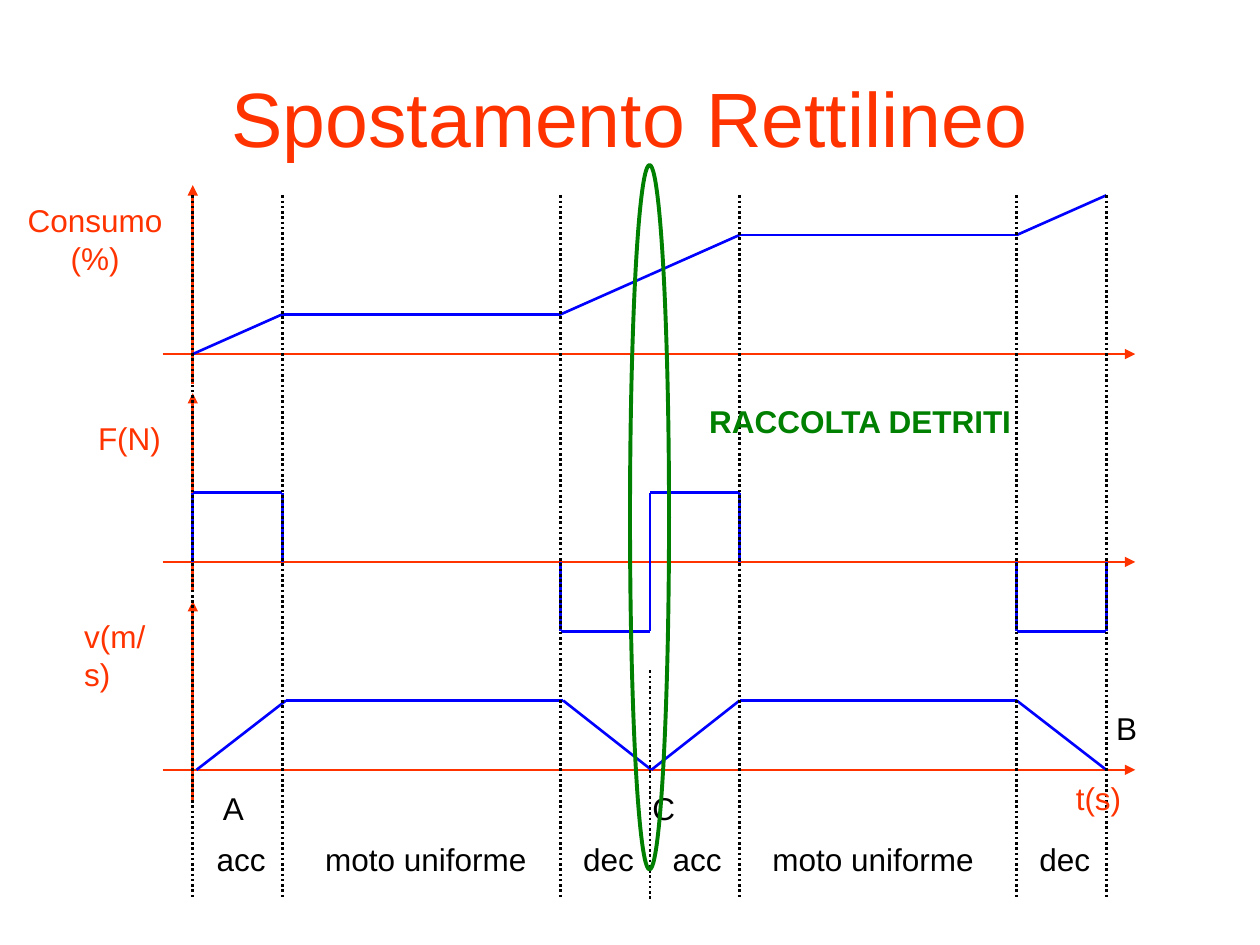
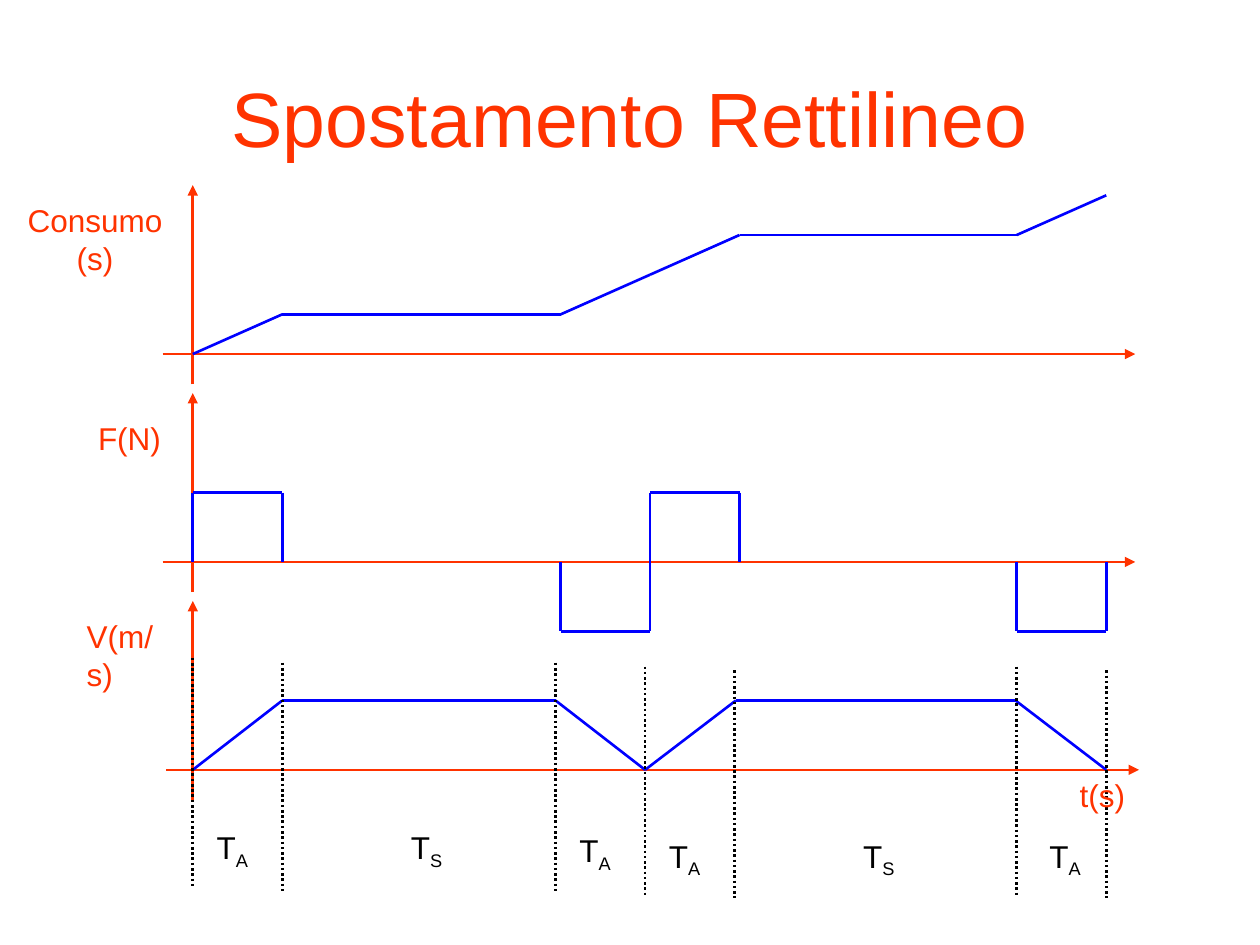
"""Build two slides charting consumption, force and speed along a straight move."""
from lxml import etree
from pptx import Presentation
from pptx.dml.color import RGBColor
from pptx.enum.dml import MSO_LINE
from pptx.enum.shapes import MSO_CONNECTOR, MSO_SHAPE
from pptx.enum.text import MSO_ANCHOR, PP_ALIGN
from pptx.oxml.ns import qn
from pptx.util import Inches, Pt

LINE, OVAL = MSO_CONNECTOR.STRAIGHT, MSO_SHAPE.OVAL
DOTS, MIDDLE = MSO_LINE.ROUND_DOT, MSO_ANCHOR.MIDDLE
LEFT, CENTER = PP_ALIGN.LEFT, PP_ALIGN.CENTER
COLORS = {"accent": "FF3300", "curve": "0000FF", "ink": "000000", "debris": "008000"}
FONT = "Arial"

TIMES = [1.53, 2.24, 4.45, 5.16, 5.87, 8.07, 8.78]
BASES = [2.81 + 1.65 * row for row in range(3)]
CONSUMPTION = [0, 1, 1, 2, 3, 3, 4]
FORCE = [1, 0, -1, 1, 0, -1]
SPEED = [0, 1, 1, 0, 1, 1, 0]
RISE, STEP = 0.55, 0.315
LABEL_H, SUB_H = 0.4, 0.44

SLIDES = [
    {
        "speed_times": [1.56, 2.27, 4.47, 5.17, 5.87, 8.07, 8.78],
        "speed_axis": 1.29,
        "guides": [(x, 5.32 if x == TIMES[3] else 1.55, 7.14) for x in TIMES],
        "axis_labels": [("Consumo\n(%)", 0.12, 1.55, 1.27), ("F(N)", 0.68, 3.28, 0.7),
                        ("v(m/s)", 0.57, 4.85, 0.89), ("t(s)", 8.44, 6.13, 0.56)],
        "phase_labels": [("A", "", 1.67, 6.21, 0.36), ("C", "", 5.08, 6.21, 0.38),
                         ("B", "", 8.76, 5.58, 0.36), ("acc", "", 1.62, 6.62, 0.59),
                         ("moto uniforme", "", 2.48, 6.62, 1.8), ("dec", "", 4.53, 6.62, 0.6),
                         ("acc", "", 5.24, 6.62, 0.59), ("moto uniforme", "", 6.03, 6.62, 1.8),
                         ("dec", "", 8.15, 6.62, 0.6)],
        "debris": "RACCOLTA DETRITI",
    },
    {
        "speed_times": [1.53, 2.24, 4.41, 5.12, 5.84, 8.06, 8.78],
        "speed_axis": 1.32,
        "guides": [(x, y, y + 1.81) for x, y in zip(
            [1.53, 2.24, 4.41, 5.12, 5.83, 8.07, 8.78],
            [5.22, 5.26, 5.26, 5.29, 5.32, 5.29, 5.32])],
        "axis_labels": [("Consumo\n(s)", 0.12, 1.55, 1.27), ("F(N)", 0.68, 3.28, 0.7),
                        ("V(m/s)", 0.59, 4.85, 0.93), ("t(s)", 8.47, 6.11, 0.56)],
        "phase_labels": [("T", "A", 1.62, 6.52, 0.45), ("T", "S", 3.16, 6.52, 0.45),
                         ("T", "A", 4.5, 6.55, 0.45), ("T", "A", 5.21, 6.59, 0.45),
                         ("T", "S", 6.75, 6.59, 0.45), ("T", "A", 8.23, 6.59, 0.45)],
        "debris": "",
    },
]


def add_line(s, x1, y1, x2, y2, color, dotted=False, arrow=False):
    """Draw a straight line, dotted or with an arrowhead at its end."""
    c = s.shapes.add_connector(LINE, Inches(x1), Inches(y1), Inches(x2), Inches(y2))
    c.line.color.rgb = RGBColor.from_string(COLORS[color])
    c.line.width = Pt(1.5)
    if dotted:
        c.line.dash_style = DOTS
    if arrow:
        etree.SubElement(c.line._get_or_add_ln(), qn("a:tailEnd"), type="triangle")
    etree.SubElement(c._element.spPr, qn("a:effectLst"))


def add_text(s, text, x, y, w, h, color, size=18, align=LEFT, bold=False, sub=""):
    """Add a text box, with an optional subscript after the text."""
    tf = s.shapes.add_textbox(Inches(x), Inches(y), Inches(w), Inches(h)).text_frame
    tf.word_wrap = size > 18
    tf.text = text
    if size > 18:
        tf.vertical_anchor = MIDDLE
    if sub:
        r = tf.paragraphs[0].add_run()
        r.text = sub
        r._r.get_or_add_rPr().set("baseline", "-25000")
    for p in tf.paragraphs:
        p.alignment = align
        for r in p.runs:
            r.font.name = FONT
            r.font.size = Pt(size)
            r.font.bold = bold
            r.font.color.rgb = RGBColor.from_string(COLORS[color])


prs = Presentation()
prs.slide_width, prs.slide_height = Inches(10), Inches(7.5)

for data in SLIDES:
    s = prs.slides.add_slide(prs.slide_layouts[6])
    add_text(s, "Spostamento Rettilineo", 0.5, 0.3, 9, 1.25, "accent", 44, CENTER)

    for base, left in zip(BASES, [1.29, 1.29, data["speed_axis"]]):
        add_line(s, left, base, left + 7.72, base, "accent", arrow=True)
        add_line(s, TIMES[0], base + 0.24, TIMES[0], base - 1.34, "accent", arrow=True)

    curves = [(TIMES, CONSUMPTION, BASES[0], STEP),
              (data["speed_times"], SPEED, BASES[2], RISE)]
    for times, levels, base, unit in curves:
        points = [(x, base - unit * level) for x, level in zip(times, levels)]
        for start, end in zip(points, points[1:]):
            add_line(s, *start, *end, "curve")

    for start, end, force in zip(TIMES, TIMES[1:], FORCE):
        if force:
            top = BASES[1] - RISE * force
            add_line(s, start, BASES[1], start, top, "curve")
            add_line(s, start, top, end, top, "curve")
            add_line(s, end, top, end, BASES[1], "curve")

    for x, top, bottom in data["guides"]:
        add_line(s, x, top, x, bottom, "ink", dotted=True)

    for text, x, y, w in data["axis_labels"]:
        lines = text.count("\n") + 1
        add_text(s, text, x, y, w, 0.1 + 0.3 * lines, "accent",
                 align=CENTER if lines > 1 else LEFT)
    for text, sub, x, y, w in data["phase_labels"]:
        centered = sub == "S" or " " in text
        add_text(s, text, x, y, w, SUB_H if sub else LABEL_H, "ink",
                 align=CENTER if centered else LEFT, sub=sub)

    if data["debris"]:
        sp = s.shapes.add_shape(OVAL, Inches(5), Inches(1.31), Inches(0.31), Inches(5.59))
        sp.shadow.inherit = False
        sp.fill.background()
        sp.line.color.rgb = RGBColor.from_string(COLORS["debris"])
        sp.line.width = Pt(2.25)
        add_text(s, data["debris"], 5.53, 3.14, 2.64, LABEL_H, "debris", bold=True)

prs.save("out.pptx")
